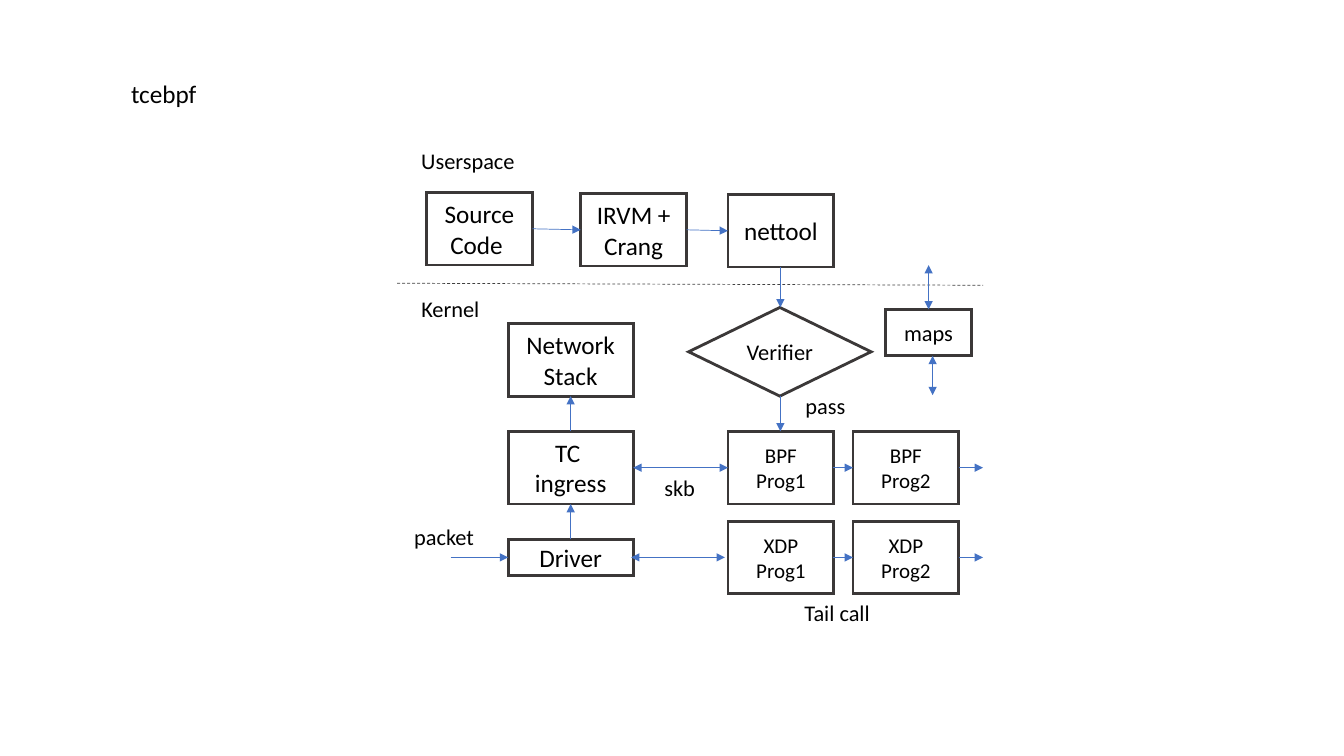
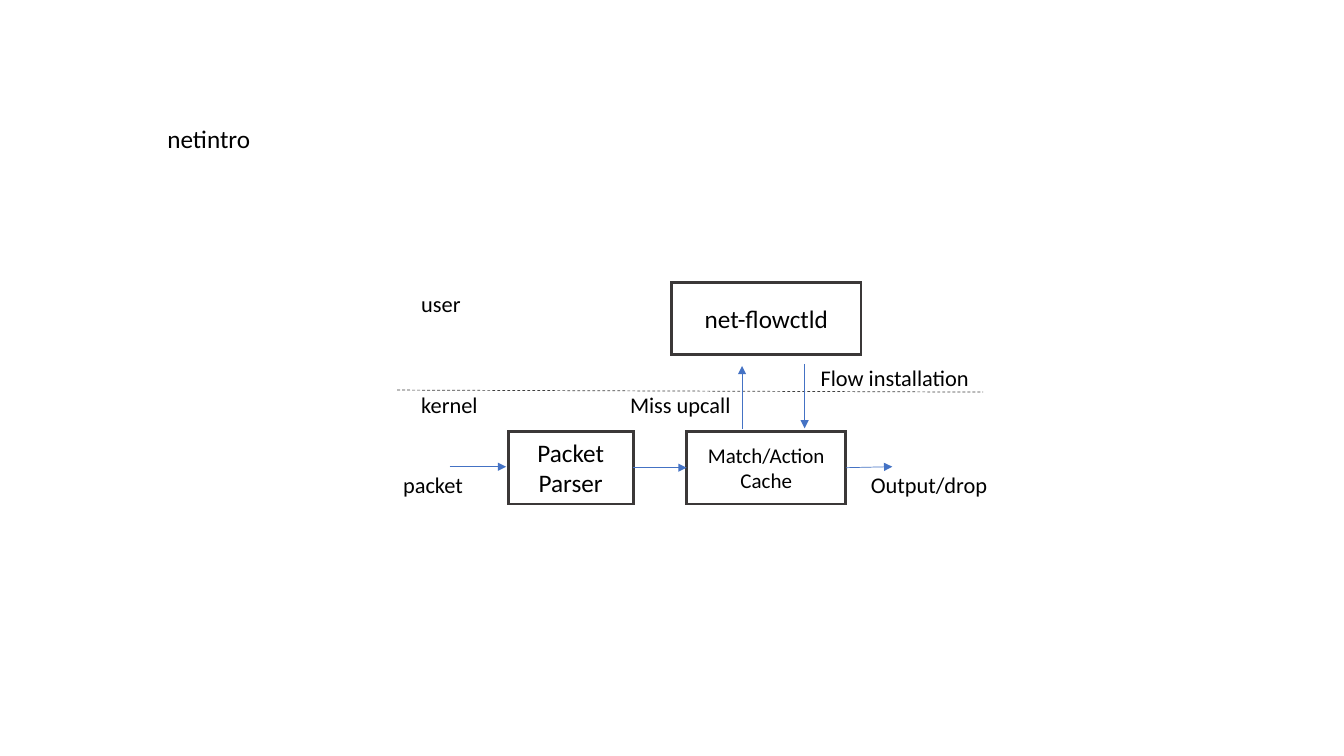
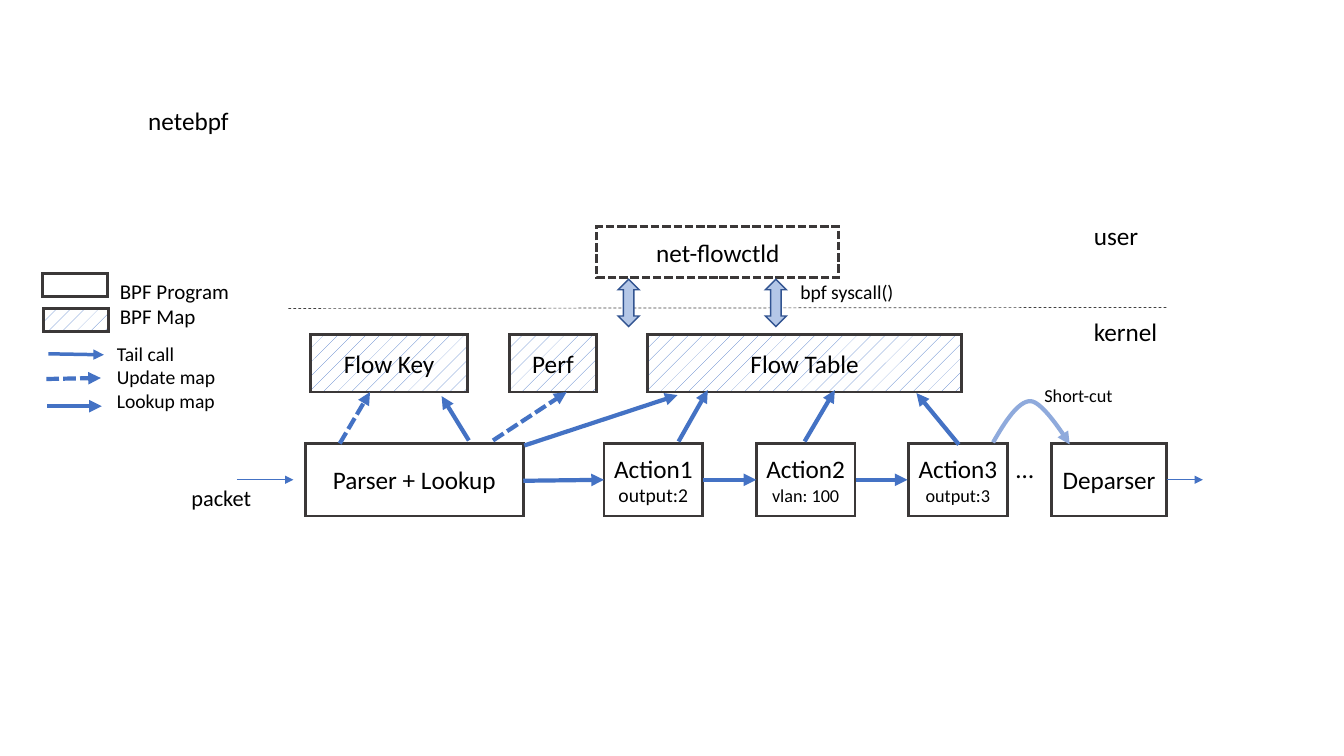
"""Builds three packet-processing diagrams."""
from dataclasses import dataclass, field

from lxml.etree import SubElement
from pptx import Presentation
from pptx.dml.color import RGBColor
from pptx.enum.dml import MSO_LINE, MSO_PATTERN
from pptx.enum.shapes import MSO_CONNECTOR, MSO_SHAPE
from pptx.enum.text import MSO_ANCHOR, MSO_AUTO_SIZE, PP_ALIGN
from pptx.oxml.ns import qn
from pptx.util import Inches, Pt

RECTANGLE = MSO_SHAPE.RECTANGLE
DIAMOND = MSO_SHAPE.DIAMOND
UP_DOWN = MSO_SHAPE.UP_DOWN_ARROW
STRAIGHT = MSO_CONNECTOR.STRAIGHT
DASH = MSO_LINE.DASH
SHORT_DASH = MSO_LINE.SQUARE_DOT
HATCH = MSO_PATTERN.PERCENT_5
TOP, MIDDLE = MSO_ANCHOR.TOP, MSO_ANCHOR.MIDDLE
LEFT, CENTER = PP_ALIGN.LEFT, PP_ALIGN.CENTER
GROW = MSO_AUTO_SIZE.SHAPE_TO_FIT_TEXT
TITLE_ONLY = 5
DAEMON = "net-flowctld"


@dataclass(frozen=True)
class Theme:
    """Colours, font, type sizes and line widths of the deck."""
    font: str = "Calibri"
    text: str = "000000"
    paper: str = "FFFFFF"
    outline: str = "3B3838"
    border: str = "404040"
    arrow: str = "4472C4"
    shortcut: str = "8FAADC"
    block_fill: str = "B4C7E7"
    block_line: str = "325491"
    large: float = 18
    medium: float = 16
    small: float = 15
    note: float = 14
    tiny: float = 13
    thin: float = 0.5
    thick: float = 3


THEME = Theme()


@dataclass(frozen=True)
class Node:
    """A shape with centred text, one size per paragraph."""
    text: str
    left: float
    top: float
    width: float = 1.05
    height: float = 0.72
    sizes: tuple[float, ...] = (THEME.large,)
    geometry: MSO_SHAPE = RECTANGLE
    fill: str | None = None
    hatched: bool = False
    line: str = THEME.outline
    weight: float = 2
    dash: MSO_LINE | None = None


@dataclass(frozen=True)
class Link:
    """A straight line with optional arrowheads."""
    start: tuple[float, float]
    end: tuple[float, float]
    weight: float = THEME.thin
    color: str = THEME.arrow
    dash: MSO_LINE | None = None
    head: bool = False
    tail: bool = True


@dataclass(frozen=True)
class Label:
    """Free text that does not wrap."""
    text: str
    left: float
    top: float
    width: float
    height: float = 0.37
    size: float = THEME.medium
    first_spacing: float | None = None


@dataclass(frozen=True)
class Diagram:
    """One slide: its title, the user/kernel border and its parts."""
    title: Label
    border: Link
    nodes: list[Node]
    links: list[Link]
    labels: list[Label]
    shortcut: list[tuple[float, float]] = field(default_factory=list)


def rgb(value: str) -> RGBColor:
    """Return a colour from its hex digits."""
    return RGBColor.from_string(value)


def write(frame, text: str, *, sizes=(THEME.large,), align=LEFT, anchor=TOP,
          wrap=False, first_spacing=None) -> None:
    """Fill a text frame, one paragraph for each line of text."""
    frame.word_wrap = wrap
    frame.vertical_anchor = anchor
    for index, line in enumerate(text.split("\n")):
        para = frame.add_paragraph() if index else frame.paragraphs[0]
        para.alignment = align
        if first_spacing and index == 0:
            para.line_spacing = first_spacing
        span = para.add_run()
        span.text = line
        span.font.name = THEME.font
        span.font.size = Pt(sizes[min(index, len(sizes) - 1)])
        span.font.color.rgb = rgb(THEME.text)


def style_line(shape, color: str, weight: float, dash=None,
               head: bool = False, tail: bool = False) -> None:
    """Set the stroke of a shape or connector, its corners and arrowheads."""
    shape.line.color.rgb = rgb(color)
    shape.line.width = Pt(weight)
    if dash is not None:
        shape.line.dash_style = dash
    stroke = shape.element.spPr.find(qn("a:ln"))
    SubElement(stroke, qn("a:miter"), lim="800000")
    for tag, wanted in (("a:headEnd", head), ("a:tailEnd", tail)):
        if wanted:
            SubElement(stroke, qn(tag), type="triangle")


def draw_node(page, node: Node) -> None:
    """Draw a node."""
    box = page.shapes.add_shape(
        node.geometry, Inches(node.left), Inches(node.top),
        Inches(node.width), Inches(node.height))
    box.shadow.inherit = False
    if node.hatched:
        box.fill.patterned()
        box.fill.pattern = HATCH
        box.fill.fore_color.rgb = rgb(THEME.arrow)
        box.fill.back_color.rgb = rgb(THEME.paper)
    elif node.fill:
        box.fill.solid()
        box.fill.fore_color.rgb = rgb(node.fill)
    else:
        box.fill.background()
    style_line(box, node.line, node.weight, node.dash)
    if node.text:
        write(box.text_frame, node.text, sizes=node.sizes,
              align=CENTER, anchor=MIDDLE, wrap=True)


def draw_link(page, link: Link) -> None:
    """Draw a link."""
    connector = page.shapes.add_connector(
        STRAIGHT, *(Inches(value) for value in link.start + link.end))
    style_line(connector, link.color, link.weight, link.dash,
               link.head, link.tail)
    SubElement(connector.element.spPr, qn("a:effectLst"))


def place_label(box, label: Label) -> None:
    """Place and fill a text box or title placeholder."""
    box.left, box.top = Inches(label.left), Inches(label.top)
    box.width, box.height = Inches(label.width), Inches(label.height)
    write(box.text_frame, label.text, sizes=(label.size,),
          first_spacing=label.first_spacing)
    box.text_frame.auto_size = GROW


def draw_shortcut(page, points: list[tuple[float, float]],
                  steps: int = 16) -> None:
    """Draw an arrow along chained cubic curves."""
    track = [points[0]]
    for first in range(0, len(points) - 1, 3):
        controls = points[first:first + 4]
        for step in range(1, steps + 1):
            t = step / steps
            weights = ((1 - t) ** 3, 3 * t * (1 - t) ** 2,
                       3 * t ** 2 * (1 - t), t ** 3)
            track.append(tuple(
                sum(w * point[axis] for w, point in zip(weights, controls))
                for axis in (0, 1)))
    track = [(Inches(x), Inches(y)) for x, y in track]
    builder = page.shapes.build_freeform(*track[0])
    builder.add_line_segments(track[1:], close=False)
    curve = builder.convert_to_shape()
    curve.shadow.inherit = False
    curve.fill.background()
    style_line(curve, THEME.shortcut, THEME.thick, tail=True)


def draw_diagram(deck, diagram: Diagram) -> None:
    """Add one slide and draw its parts."""
    page = deck.slides.add_slide(deck.slide_layouts[TITLE_ONLY])
    place_label(page.shapes.title, diagram.title)
    draw_link(page, diagram.border)
    for node in diagram.nodes:
        draw_node(page, node)
    for link in diagram.links:
        draw_link(page, link)
    for label in diagram.labels:
        place_label(page.shapes.add_textbox(0, 0, 0, 0), label)
    if diagram.shortcut:
        draw_shortcut(page, diagram.shortcut)


def title(text: str, left: float, top: float, width: float) -> Label:
    """Return a slide title."""
    return Label(text, left, top, width, 0.4, THEME.large)


def border(start: tuple[float, float], end: tuple[float, float]) -> Link:
    """Return the dashed line between user and kernel space."""
    return Link(start, end, color=THEME.border, dash=DASH, tail=False)


def bold_link(start: tuple[float, float], end: tuple[float, float],
              dash=None) -> Link:
    """Return a thick arrow."""
    return Link(start, end, THEME.thick, dash=dash)


def bpf_map(text: str, left: float, width: float) -> Node:
    """Return a hatched map box."""
    return Node(text, left, 3.32, width, 0.57, hatched=True)


def tc_diagram() -> Diagram:
    """Describe the traffic control slide."""
    small, medium = (THEME.small,), (THEME.medium,)
    programs = [
        Node(f"{kind} Prog{number}", left, top, sizes=small, fill=THEME.paper)
        for kind, top in (("BPF", 4.28), ("XDP", 5.17))
        for number, left in ((1, 7.22), (2, 8.46))]
    tail_calls = [Link((start, y), (end, y)) for y in (4.64, 5.53)
                  for start, end in ((8.26, 8.46), (9.51, 9.75))]
    return Diagram(
        title("tcebpf", 1.2, 0.73, 0.86),
        border((3.94, 2.81), (9.75, 2.83)),
        [Node("Source Code ", 4.23, 1.91),
         Node("IRVM + Crang", 5.76, 1.92),
         Node("nettool", 7.22, 1.93),
         Node("Network Stack", 5.04, 3.21, 1.24),
         Node("TC \ningress", 5.04, 4.28, 1.24),
         Node("Driver", 5.04, 5.35, 1.24, 0.36),
         Node("Verifier", 6.83, 3.05, 1.81, 0.88, medium, DIAMOND),
         Node("maps", 8.78, 3.07, 0.86, 0.46, medium, fill=THEME.paper),
         *programs],
        [Link((5.28, 2.27), (5.76, 2.28)),
         Link((6.81, 2.28), (7.22, 2.29)),
         Link((7.74, 2.65), (7.74, 3.05)),
         Link((7.74, 3.93), (7.74, 4.28)),
         Link((5.66, 5.35), (5.66, 5)),
         Link((5.66, 4.28), (5.66, 3.93)),
         Link((4.47, 5.53), (5.04, 5.53)),
         Link((6.28, 4.64), (7.22, 4.64), head=True),
         Link((6.26, 5.53), (7.19, 5.53), head=True),
         Link((9.21, 2.63), (9.21, 3.07), head=True),
         Link((9.25, 3.53), (9.25, 3.92), head=True),
         *tail_calls],
        [Label("Userspace", 4.08, 1.41, 1.14),
         Label("Kernel", 4.08, 2.88, 0.79),
         Label("pass", 7.89, 3.84, 0.6),
         Label("skb", 6.49, 4.65, 0.51),
         Label("packet", 4.01, 5.14, 0.8),
         Label("Tail call", 7.88, 5.89, 0.85)])


def switch_diagram() -> Diagram:
    """Describe the virtual switch introduction slide."""
    return Diagram(
        title("netintro", 1.56, 1.17, 1.04),
        border((3.94, 3.87), (9.75, 3.89)),
        [Node(DAEMON, 6.66, 2.8, 1.88),
         Node("Packet Parser", 5.04, 4.28, 1.24),
         Node("Match/Action Cache", 6.81, 4.28, 1.58,
              sizes=(THEME.small,), fill=THEME.paper)],
        [Link((4.46, 4.63), (5.02, 4.63)),
         Link((6.28, 4.64), (6.81, 4.64)),
         Link((8.39, 4.64), (8.85, 4.63)),
         Link((7.36, 4.26), (7.36, 3.63)),
         Link((7.98, 3.61), (7.98, 4.25))],
        [Label("user", 4.08, 2.83, 0.6),
         Label("kernel", 4.08, 3.83, 0.77),
         Label("packet", 3.9, 4.63, 0.8),
         Label("Output/drop", 8.54, 4.63, 1.37),
         Label("Miss upcall", 6.15, 3.83, 1.21),
         Label("Flow installation", 8.04, 3.56, 1.69)])


def datapath_diagram() -> Diagram:
    """Describe the switch datapath slide with its legend."""
    details = (("output:2", THEME.note), ("vlan: 100", THEME.tiny),
               ("output:3", THEME.tiny))
    actions = [
        Node(f"Action{index + 1}\n{detail}", 5.99 + 1.51 * index, 4.4, 0.98,
             sizes=(THEME.large, size))
        for index, (detail, size) in enumerate(details)]
    syscalls = [
        Node("", left, 2.77, 0.21, 0.47, geometry=UP_DOWN,
             fill=THEME.block_fill, line=THEME.block_line, weight=1)
        for left in (6.13, 7.59)]
    return Diagram(
        title("netebpf", 1.37, 0.99, 1.01),
        border((2.86, 3.06), (11.59, 3.05)),
        [Node(DAEMON, 5.92, 2.25, 2.4, 0.5, dash=SHORT_DASH),
         Node("Parser + Lookup", 3.03, 4.4, 2.16),
         Node("Deparser", 10.43, 4.4, 1.14),
         bpf_map("Flow Key", 3.08, 1.56),
         bpf_map("Perf", 5.05, 0.87),
         bpf_map("Flow Table", 6.42, 3.12),
         Node("", 0.42, 2.71, 0.65, 0.23),
         Node("", 0.43, 3.06, 0.65, 0.23, hatched=True),
         *actions, *syscalls],
        [Link((2.35, 4.76), (2.91, 4.76)),
         Link((11.57, 4.76), (11.93, 4.76)),
         bold_link((5.19, 4.77), (5.99, 4.76)),
         bold_link((6.97, 4.76), (7.5, 4.76)),
         bold_link((8.49, 4.76), (9, 4.76)),
         bold_link((3.37, 4.4), (3.67, 3.89), SHORT_DASH),
         bold_link((4.89, 4.37), (5.62, 3.89), SHORT_DASH),
         bold_link((4.65, 4.37), (4.38, 3.93)),
         bold_link((5.2, 4.42), (6.72, 3.92)),
         bold_link((6.73, 4.38), (7.02, 3.87)),
         bold_link((7.98, 4.38), (8.28, 3.87)),
         bold_link((9.51, 4.41), (9.09, 3.9)),
         Link((0.48, 3.51), (1.03, 3.52), 2.5),
         bold_link((0.46, 3.76), (1, 3.75), SHORT_DASH),
         bold_link((0.47, 4.03), (1.01, 4.03))],
        [Label("user", 10.75, 2.14, 0.65, 0.4, THEME.large),
         Label("kernel", 10.75, 3.09, 0.84, 0.4, THEME.large),
         Label("packet", 1.8, 4.75, 0.8),
         Label("…", 9.98, 4.45, 0.38, 0.4, THEME.large),
         Label("bpf syscall()", 7.84, 2.73, 1.14, 0.34, THEME.note),
         Label("Short-cut", 10.26, 3.76, 0.89, 0.32, THEME.tiny),
         Label("BPF Program\nBPF Map", 1.09, 2.59, 1.29, 0.73,
               THEME.small, first_spacing=1.5),
         Label("Tail call\nUpdate map\nLookup map", 1.06, 3.34, 1.19, 0.81,
               THEME.note)],
        [(9.85, 4.39), (9.97, 4.18), (10.1, 3.98), (10.22, 3.98),
         (10.35, 3.98), (10.61, 4.41), (10.61, 4.41)])


def main() -> None:
    """Build and save the deck."""
    deck = Presentation()
    deck.slide_width, deck.slide_height = Inches(13.33), Inches(7.5)
    for diagram in (tc_diagram(), switch_diagram(), datapath_diagram()):
        draw_diagram(deck, diagram)
    deck.save("out.pptx")


main()
